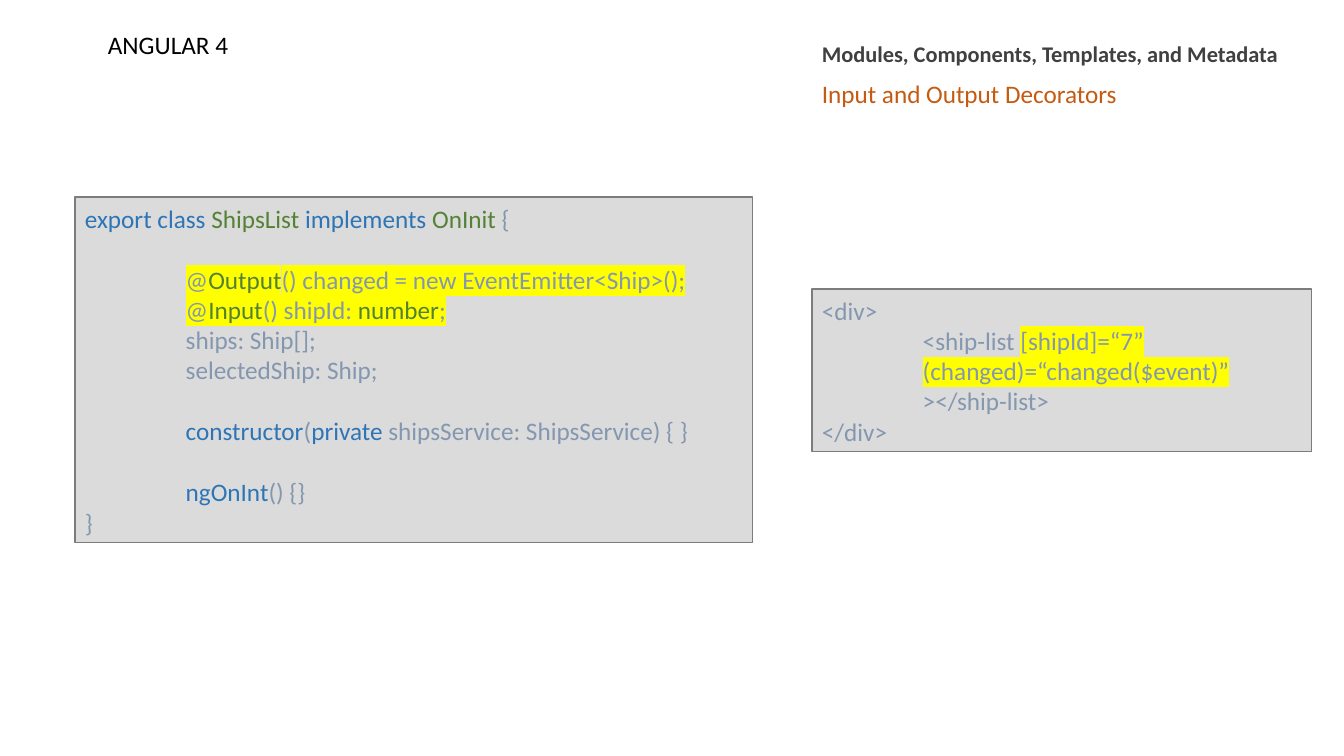
from lxml.etree import SubElement
from pptx import Presentation
from pptx.dml.color import RGBColor
from pptx.enum.shapes import MSO_SHAPE as SHAPE
from pptx.enum.text import MSO_ANCHOR as ANCHOR, PP_ALIGN as ALIGN
from pptx.oxml.ns import qn
from pptx.util import Emu, Pt

COLORS = {
    "black": "000000", "heading": "404040", "orange": "C55A11",
    "keyword": "2E75B6", "type": "548235", "plain": "8497B0",
    "mark": "FFFF00", "panel": "DBDBDB", "border": "7C7C7C",
}
LABELS = [
    ((98, 24, 141, 40), "ANGULAR 4", 18, "black", False),
    ((812, 35, 481, 37), "Modules, Components, Templates, and Metadata", 16, "heading", True),
    ((812, 73, 320, 41), "Input and Output Decorators", 18, "orange", False),
]
# Each code line: indent level, blank lines before it, runs of (text, colour, marked)
CODE_PANELS = [
    ((75, 197, 678, 346), [
        (0, 0, [("export class ", "keyword", False), ("ShipsList ", "type", False),
                ("implements ", "keyword", False), ("OnInit", "type", False),
                (" {", "plain", False)]),
        (1, 1, [("@", "plain", True), ("Output", "type", True),
                ("() changed = new EventEmitter<Ship>();", "plain", True)]),
        (1, 0, [("@", "plain", True), ("Input", "type", True), ("() shipId: ", "plain", True),
                ("number", "type", True), (";", "plain", True)]),
        (1, 0, [("ships: Ship[];", "plain", False)]),
        (1, 0, [("selectedShip: Ship;", "plain", False)]),
        (1, 1, [("constructor", "keyword", False), ("(", "plain", False),
                ("private ", "keyword", False),
                ("shipsService: ShipsService) { }", "plain", False)]),
        (1, 1, [("ngOnInt", "keyword", False), ("() {}", "plain", False)]),
        (0, 0, [("}", "plain", False)]),
    ]),
    ((812, 289, 500, 163), [
        (0, 0, [("<div>", "plain", False)]),
        (1, 0, [("<ship-list ", "plain", False), ("[shipId]=“7”", "plain", True)]),
        (1, 0, [("(changed)=“changed($event)”", "plain", True)]),
        (1, 0, [("></ship-list>", "plain", False)]),
        (0, 0, [("</div>", "plain", False)]),
    ]),
]
FONT = "Calibri"
CODE_SIZE, LINE_HEIGHT = 18, 22
PX = 914400 / 100.8
INDENT = 914400


def box_emu(box):
    """Turn a pixel box into EMU lengths."""
    return [Emu(round(v * PX)) for v in box]


def color(name):
    """Return the named colour."""
    return RGBColor.from_string(COLORS[name])


def add_label(s, box, text, size, tone, bold):
    """Add a one-line heading."""
    p = s.shapes.add_textbox(*box_emu(box)).text_frame.paragraphs[0]
    p.text = text
    p.font.name, p.font.size, p.font.bold = FONT, Pt(size), bold
    p.font.color.rgb = color(tone)


def add_code_run(p, text, tone, marked):
    """Add a coloured piece of code, highlighted if marked."""
    r = p.add_run()
    r.text = text
    r.font.color.rgb = color(tone)
    if marked:
        highlight = SubElement(r.font._element, qn("a:highlight"))
        SubElement(highlight, qn("a:srgbClr"), val=COLORS["mark"])


def add_code_panel(s, box, lines):
    """Add a bordered panel holding code lines."""
    sp = s.shapes.add_shape(SHAPE.RECTANGLE, *box_emu(box))
    sp.shadow.inherit = False
    sp.fill.solid()
    sp.fill.fore_color.rgb = color("panel")
    sp.line.color.rgb = color("border")
    sp.line.width = Pt(0.75)
    tf = sp.text_frame
    tf.word_wrap, tf.vertical_anchor = True, ANCHOR.MIDDLE
    for i, (level, blanks, runs) in enumerate(lines):
        p = tf.add_paragraph() if i else tf.paragraphs[0]
        p.alignment = ALIGN.LEFT
        p.space_before = Pt(blanks * LINE_HEIGHT)
        p.font.name, p.font.size = FONT, Pt(CODE_SIZE)
        p._p.get_or_add_pPr().set("marL", str(level * INDENT))
        for run in runs:
            add_code_run(p, *run)


prs = Presentation()
prs.slide_width, prs.slide_height = box_emu((1344, 756))
s = prs.slides.add_slide(prs.slide_layouts[6])
for label in LABELS:
    add_label(s, *label)
for panel in CODE_PANELS:
    add_code_panel(s, *panel)
prs.save("out.pptx")
